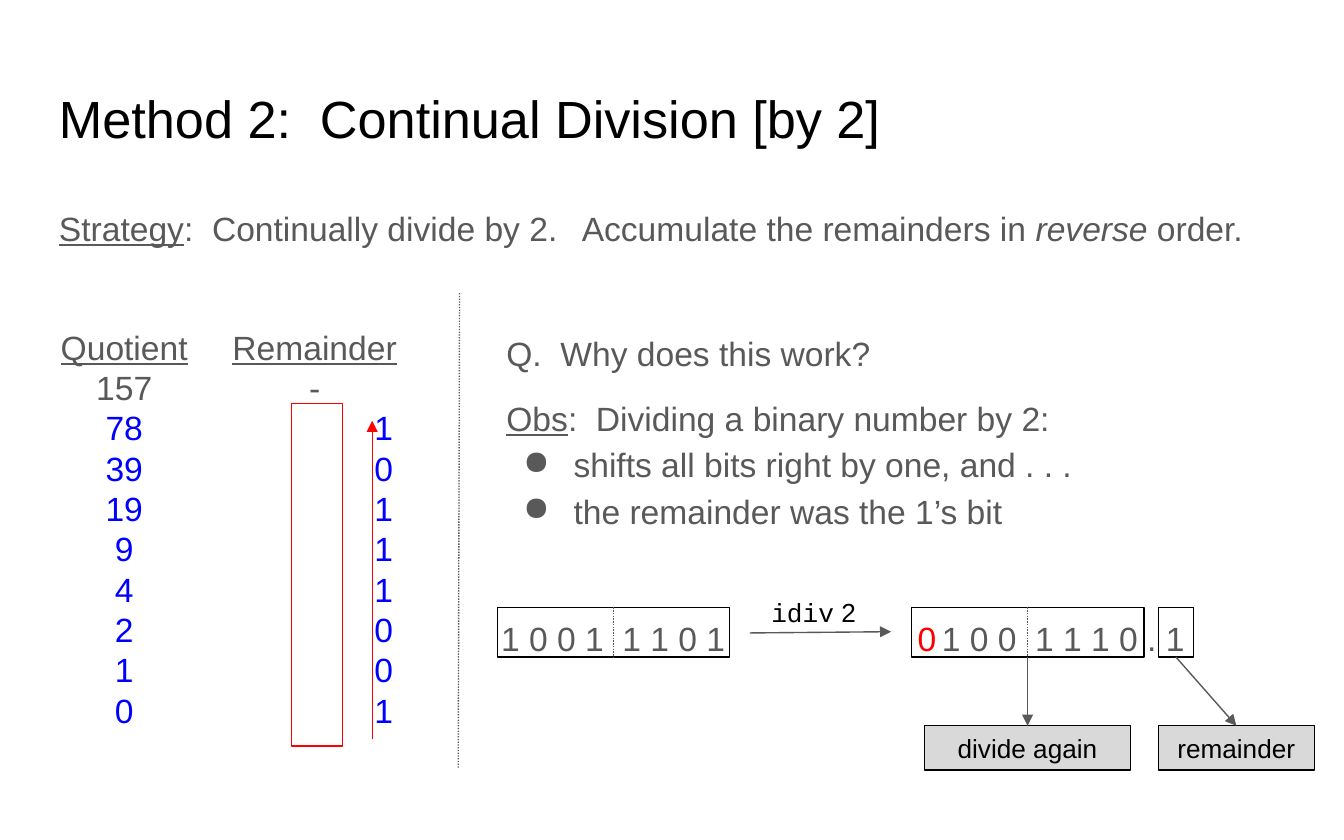
from lxml import etree
from pptx import Presentation
from pptx.dml.color import RGBColor
from pptx.enum import dml, shapes, text
from pptx.oxml.ns import qn
from pptx.util import Pt

COLORS = {"ink": "000000", "gray": "595959", "red": "FF0000",
          "blue": "0000FF", "label": "D9D9D9"}

TITLE = "Method 2:  Continual Division [by 2]"
STRATEGY = [("Strategy", "u"), (":  Continually divide by 2.", "")]
ACCUMULATE = [("Accumulate the remainders in ", ""), ("reverse", "i"), (" order.", "")]
HEADERS = ("Quotient", "Remainder")
START = ("157", "-")
STEPS = [(78, 1), (39, 0), (19, 1), (9, 1), (4, 1), (2, 0), (1, 0), (0, 1)]
QUESTION = "Q.  Why does this work?"
OBSERVATION = [("Obs", "u"), (":  Dividing a binary number by 2:", "")]
BULLETS = ["shifts all bits right by one, and . . .", "the remainder was the 1’s bit"]

LEFT, BODY_TOP, COLUMN_TOP = 24.5, 100.8, 167.8
BITS_TOP, BYTE_TOP, BYTE_W, BYTE_H = 320.4, 325.4, 124.6, 26.6
LABEL_TOP, LABEL_H = 388.8, 23.8
QUOTIENT_TAB, HEADER_TAB, REMAINDER_TAB = 35, 137, 174


def rgb(name):
    return RGBColor.from_string(COLORS[name])


def fill_text(tf, paras, size=18, color="gray", font="Arial", spacing=None,
              after=0, align=None, anchor=text.MSO_ANCHOR.TOP):
    """Each paragraph is a string, a list of (text, flags) runs, or a dict
    with "runs" and its own color, after, tabs or bullet."""
    tf.word_wrap = True
    tf.vertical_anchor = anchor
    tf.margin_left = tf.margin_right = tf.margin_top = tf.margin_bottom = Pt(7.2)
    for i, para in enumerate(paras):
        opts = para if isinstance(para, dict) else {"runs": para}
        runs = opts["runs"]
        if isinstance(runs, str):
            runs = [(runs, "")]
        p = tf.paragraphs[0] if i == 0 else tf.add_paragraph()
        p.alignment = align
        if spacing:
            p.line_spacing = spacing
        p.space_after = Pt(opts.get("after", after))
        if "tabs" in opts:
            add_tabs(p, opts["tabs"])
        if "bullet" in opts:
            add_bullet(p, opts["bullet"])
        for words, flags in runs:
            r = p.add_run()
            r.text = words
            r.font.size = Pt(size)
            r.font.name = "Courier New" if "m" in flags else font
            r.font.underline = "u" in flags
            r.font.italic = "i" in flags
            r.font.color.rgb = rgb(opts.get("color", color))


def add_tabs(p, stops):
    tabs = etree.SubElement(p._p.get_or_add_pPr(), qn("a:tabLst"))
    for stop in stops:
        etree.SubElement(tabs, qn("a:tab"), pos=str(Pt(stop)), algn="ctr")


def add_bullet(p, char):
    pPr = p._p.get_or_add_pPr()
    pPr.set("marL", str(Pt(36)))
    pPr.set("indent", str(Pt(-27)))
    etree.SubElement(pPr, qn("a:buChar"), char=char)


def add_text(slide, box, paras, **fmt):
    sp = slide.shapes.add_textbox(*map(Pt, box))
    fill_text(sp.text_frame, paras, **fmt)


def add_box(slide, box, line="ink", fill=None, label=None):
    sp = slide.shapes.add_shape(shapes.MSO_SHAPE.RECTANGLE, *map(Pt, box))
    sp.shadow.inherit = False
    sp.line.color.rgb = rgb(line)
    sp.line.width = Pt(0.75)
    if fill:
        sp.fill.solid()
        sp.fill.fore_color.rgb = rgb(fill)
    else:
        sp.fill.background()
    if label:
        fill_text(sp.text_frame, [label], size=14, color="ink",
                  align=text.PP_ALIGN.CENTER, anchor=text.MSO_ANCHOR.MIDDLE)
    return sp


def add_line(slide, start=(0, 0), end=(0, 0), color="gray", dotted=False, arrow=False):
    c = slide.shapes.add_connector(shapes.MSO_CONNECTOR.STRAIGHT, *map(Pt, (*start, *end)))
    c.line.color.rgb = rgb(color)
    c.line.width = Pt(0.75)
    if dotted:
        c.line.dash_style = dml.MSO_LINE.ROUND_DOT
    if arrow:
        etree.SubElement(c.line._get_or_add_ln(), qn("a:tailEnd"), type="triangle")
    etree.SubElement(c._element.spPr, qn("a:effectLst"))
    return c


def add_byte(slide, left):
    """Box for eight bits with a dotted line between the two halves."""
    sp = add_box(slide, (left, BYTE_TOP, BYTE_W, BYTE_H))
    mid = left + BYTE_W / 2
    add_line(slide, (mid, BYTE_TOP), (mid, BYTE_TOP + BYTE_H), dotted=True)
    return sp


def join(slide, upper, lower):
    c = add_line(slide, arrow=True)
    c.begin_connect(upper, 2)
    c.end_connect(lower, 0)


def add_division_table(slide):
    tabs = (QUOTIENT_TAB, HEADER_TAB)
    quotient, remainder = HEADERS
    rows = [{"tabs": tabs, "runs": [("\t", ""), (quotient, "u"), ("\t", ""), (remainder, "u")]},
            {"tabs": tabs, "runs": "\t%s\t%s" % START}]
    rows += [{"tabs": (QUOTIENT_TAB, REMAINDER_TAB), "color": "blue",
              "runs": f"\t{q}\t{r}"} for q, r in STEPS]
    add_text(slide, (LEFT, COLUMN_TOP, 227.5, 36), rows)
    add_box(slide, (156.2, 216, 27.4, 183.6), line="red")
    add_line(slide, (199.4, 396), (199.4, 225.4), color="red", arrow=True)


def add_bit_shift(slide):
    for left, bits, color in [(261.4, "1 0 0 1  1 1 0 1", "gray"),
                              (484.5, "0", "red"),
                              (497.5, "1 0 0  1 1 1 0 . 1", "gray")]:
        add_text(slide, (left, BITS_TOP, 155, 36), [bits], color=color, spacing=1.15)
    add_byte(slide, 266.4)
    shifted = add_byte(slide, 488.2)
    last_bit = add_box(slide, (620.6, BYTE_TOP, 18.7, BYTE_H))
    add_line(slide, (401.8, 339.1), (477.4, 338.4), arrow=True)
    add_text(slide, (406.1, 312.5, 78.5, 18), [[("idiv", "m"), (" 2", "")]],
             size=14, color="ink")
    for upper, left, width, label in [(shifted, 495.4, 110.2, "divide again"),
                                      (last_bit, 620.6, 83.5, "remainder")]:
        lower = add_box(slide, (left, LABEL_TOP, width, LABEL_H), fill="label", label=label)
        join(slide, upper, lower)


def main():
    prs = Presentation()
    prs.slide_width, prs.slide_height = Pt(720), Pt(450)
    slide = prs.slides.add_slide(prs.slide_layouts[6])
    add_text(slide, (LEFT, 38.9, 671, 50.4), [TITLE], size=28, color="ink")
    add_text(slide, (LEFT, BODY_TOP, 671, 36), [STRATEGY], spacing=1.15)
    add_text(slide, (304.6, BODY_TOP, 393.8, 36), [ACCUMULATE], spacing=1.15)
    add_division_table(slide)
    add_line(slide, (246.2, 157), (245.5, 411.8), dotted=True)
    notes = [{"runs": QUESTION, "after": 10}, OBSERVATION]
    notes += [{"runs": b, "bullet": "●"} for b in BULLETS]
    add_text(slide, (264.2, COLUMN_TOP, 430.6, 120), notes, spacing=1.15)
    add_bit_shift(slide)
    prs.save("out.pptx")


if __name__ == "__main__":
    main()
